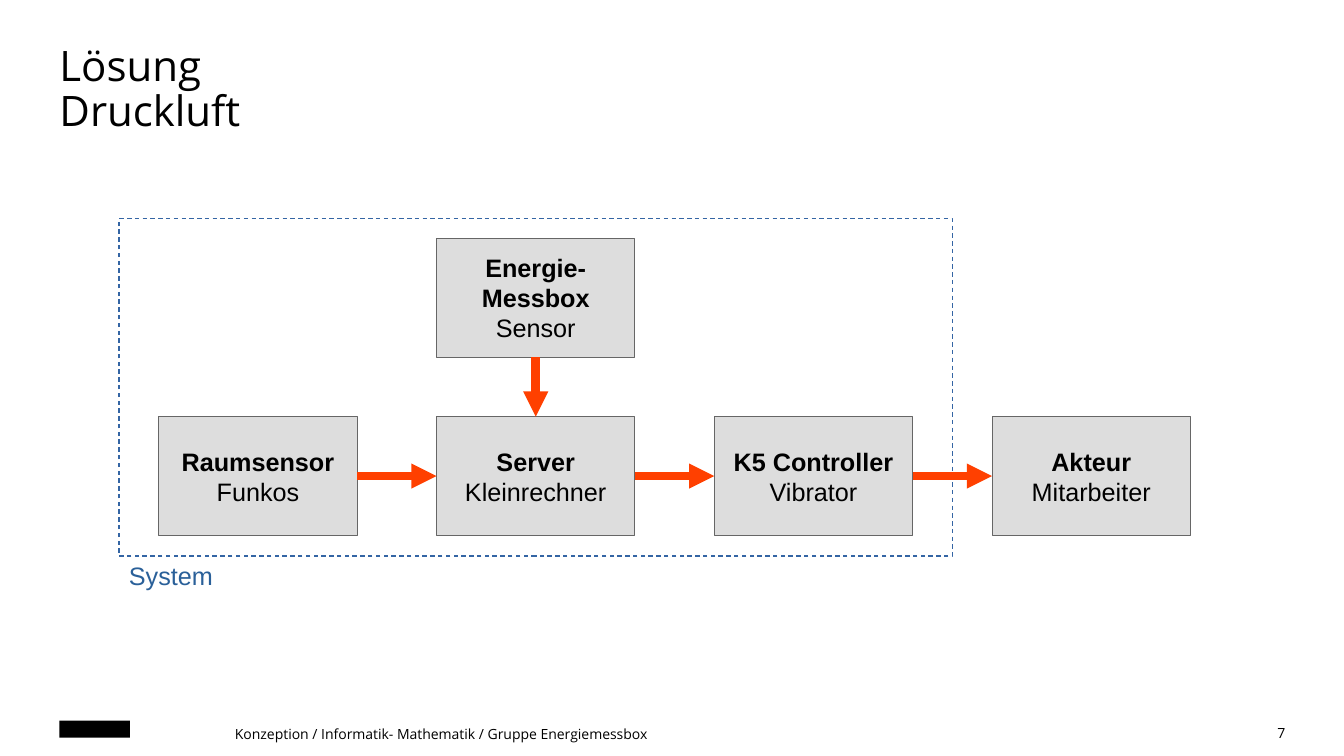
from pptx import Presentation
from pptx.util import Pt
from pptx.dml.color import RGBColor
from pptx.enum import dml, shapes, text
from pptx.oxml.ns import qn
from lxml import etree

COLORS = {"ink": "000000", "box": "DDDDDD", "edge": "666666",
          "arrow": "FF4000", "frame": "3465A4", "system": "2A6099"}
C = {name: RGBColor.from_string(value) for name, value in COLORS.items()}

prs = Presentation()
prs.slide_width, prs.slide_height = Pt(960), Pt(540)
s = prs.slides.add_slide(prs.slide_layouts[6])


def add_rect(left, top, width, height, fill=None, line=None, line_width=0):
    sp = s.shapes.add_shape(shapes.MSO_SHAPE.RECTANGLE,
                            Pt(left), Pt(top), Pt(width), Pt(height))
    sp.shadow.inherit = False
    if fill:
        sp.fill.solid()
        sp.fill.fore_color.rgb = C[fill]
    else:
        sp.fill.background()
    if line:
        sp.line.color.rgb = C[line]
        sp.line.width = Pt(line_width)
    else:
        sp.line.fill.background()
    return sp


def write(sp, lines, size, font="Open Sans", color="ink", bold=0, inset=(0, 0),
          anchor=text.MSO_ANCHOR.TOP, **paragraph_format):
    """Write one paragraph per line; the first `bold` lines are bold."""
    tf = sp.text_frame
    frame_format = {"word_wrap": True, "vertical_anchor": anchor,
                    "margin_left": Pt(inset[0]), "margin_right": Pt(inset[0]),
                    "margin_top": Pt(inset[1]), "margin_bottom": Pt(inset[1])}
    for name, value in frame_format.items():
        setattr(tf, name, value)
    for i, line in enumerate(lines):
        p = tf.paragraphs[0] if i == 0 else tf.add_paragraph()
        for name, value in paragraph_format.items():
            setattr(p, name, value)
        r = p.add_run()
        r.text = line
        run_format = {"size": Pt(size), "name": font, "bold": i < bold}
        for name, value in run_format.items():
            setattr(r.font, name, value)
        r.font.color.rgb = C[color]


# Plain block in the logo's place
add_rect(42.5, 514.8, 50.4, 12.2, fill="ink")

# System boundary and its label
frame = add_rect(85, 156.2, 595.4, 241, line="frame", line_width=0.79)
frame.line.dash_style = dml.MSO_LINE.DASH
label = s.shapes.add_textbox(Pt(85), Pt(396.8), Pt(99.2), Pt(47.5))
write(label, ["System"], 18, "Arial", "system", inset=(7.2, 3.6))

# Title
title = s.shapes.add_textbox(Pt(42.5), Pt(29.5), Pt(875.5), Pt(70.6))
write(title, ["Lösung", "Druckluft"], 30, inset=(0, 3.6), line_spacing=0.88)

# Boxes on a grid: column, row, lines of text
BOX_W, BOX_H = 141.7, 85
LEFT, TOP = 113.4, 170.1
STEP_X, STEP_Y = 198.4, 127.5
boxes = [
    (0, 1, ["Raumsensor", "Funkos"]),
    (1, 1, ["Server", "Kleinrechner"]),
    (2, 1, ["K5 Controller", "Vibrator"]),
    (3, 1, ["Akteur", "Mitarbeiter"]),
    (1, 0, ["Energie-", "Messbox", "Sensor"]),
]
nodes = {}
for column, row, lines in boxes:
    box = add_rect(LEFT + column * STEP_X, TOP + row * STEP_Y, BOX_W, BOX_H,
                   fill="box", line="edge")
    write(box, lines, 18, "Arial", bold=len(lines) - 1, inset=(7.2, 3.6),
          anchor=text.MSO_ANCHOR.MIDDLE, alignment=text.PP_ALIGN.CENTER)
    nodes[column, row] = box

# Arrows; connection sites: 0 top, 1 left, 2 bottom, 3 right
arrows = [((i, 1), 3, (i + 1, 1), 1) for i in range(3)]
arrows.append(((1, 0), 2, (1, 1), 0))
for start, start_site, end, end_site in arrows:
    arrow = s.shapes.add_connector(shapes.MSO_CONNECTOR.STRAIGHT, 0, 0, 0, 0)
    arrow.begin_connect(nodes[start], start_site)
    arrow.end_connect(nodes[end], end_site)
    arrow.line.color.rgb = C["arrow"]
    arrow.line.width = Pt(6)
    etree.SubElement(arrow.line._get_or_add_ln(), qn("a:tailEnd"), type="triangle")
    etree.SubElement(arrow._element.spPr, qn("a:effectLst"))

# Footer and slide number
footers = [
    (167.8, 515.5, 680.4, text.PP_ALIGN.LEFT,
     "Konzeption / Informatik- Mathematik / Gruppe Energiemessbox"),
    (875.5, 514.8, 42.5, text.PP_ALIGN.RIGHT, "7"),
]
for left, top, width, alignment, line in footers:
    footer = s.shapes.add_textbox(Pt(left), Pt(top), Pt(width), Pt(14.4))
    write(footer, [line], 10, anchor=text.MSO_ANCHOR.BOTTOM, alignment=alignment,
          line_spacing=1.1, space_after=Pt(10))

prs.save("out.pptx")
